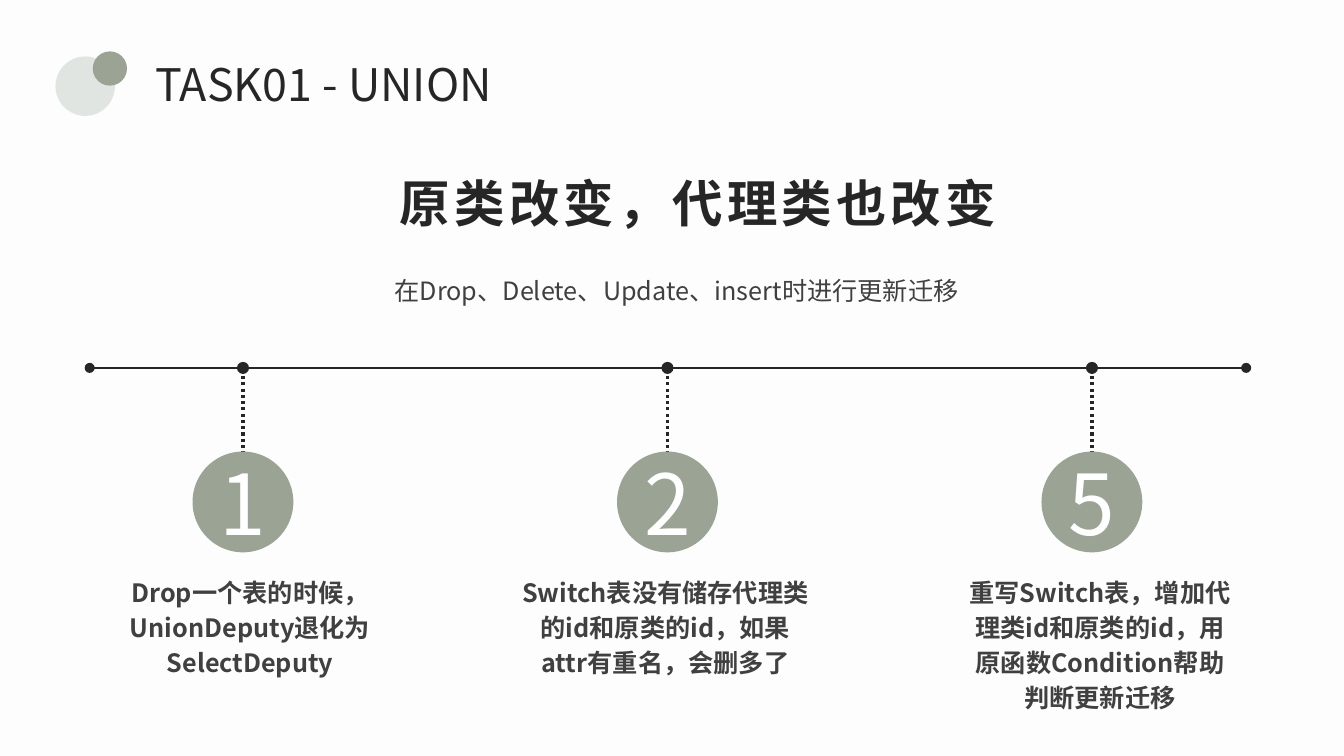
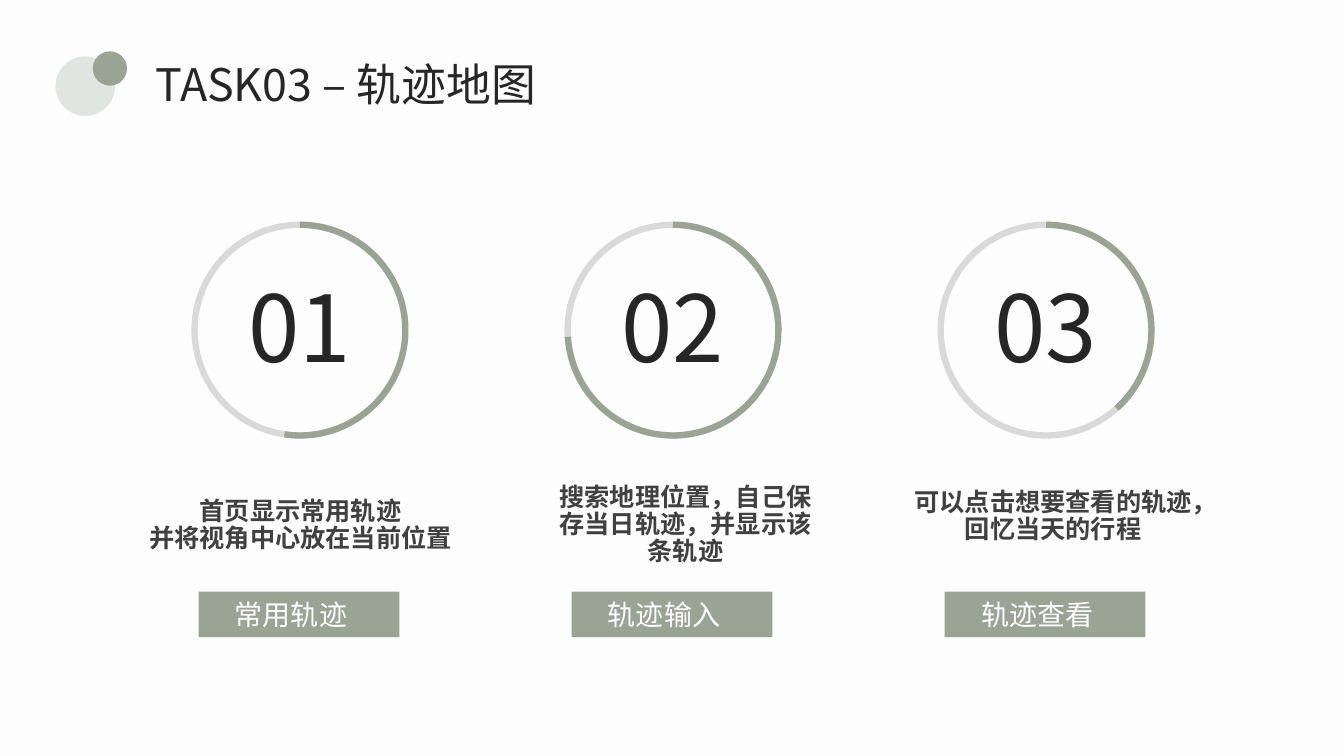
"""Build two slides: a union task timeline and a track map overview."""
from typing import NamedTuple

from lxml import etree
from pptx import Presentation
from pptx.dml.color import RGBColor
from pptx.enum.dml import MSO_LINE
from pptx.enum.shapes import MSO_CONNECTOR, MSO_SHAPE
from pptx.enum.text import MSO_ANCHOR, MSO_AUTO_SIZE, PP_ALIGN
from pptx.oxml.ns import qn
from pptx.shapes.autoshape import Shape
from pptx.slide import Slide
from pptx.util import Emu, Pt

STRAIGHT = MSO_CONNECTOR.STRAIGHT
OVAL, RECT, ARC = MSO_SHAPE.OVAL, MSO_SHAPE.RECTANGLE, MSO_SHAPE.ARC
TOP, MIDDLE = MSO_ANCHOR.TOP, MSO_ANCHOR.MIDDLE
LEFT, CENTER = PP_ALIGN.LEFT, PP_ALIGN.CENTER
GROW = MSO_AUTO_SIZE.SHAPE_TO_FIT_TEXT
DOTTED = MSO_LINE.ROUND_DOT

INK = RGBColor(0x26, 0x26, 0x26)
BODY = RGBColor(0x40, 0x40, 0x40)
SAGE = RGBColor(0x9A, 0xA3, 0x94)
MIST = RGBColor(0xE1, 0xE5, 0xE2)
GREY = RGBColor(0xD9, 0xD9, 0xD9)
WHITE = RGBColor(0xFF, 0xFF, 0xFF)
PAPER = RGBColor(0xFD, 0xFD, 0xFD)

FONT = "Noto Sans CJK SC"
PX_PER_INCH = 100
EMU_PER_PX = 914400 // PX_PER_INCH
AXIS_Y = 365
RING_TOP, RING_SIZE = 223, 209
TRACK_LEFT, TRACK_PITCH = 297, 370


class Box(NamedTuple):
    x: int
    y: int
    w: int
    h: int


class Style(NamedTuple):
    size: int
    color: RGBColor
    bold: bool = False
    align: PP_ALIGN = CENTER
    leading: float | Pt | None = None
    spacing: int = 0


class Step(NamedTuple):
    cx: int
    number: str
    text: str
    box: Box


class Track(NamedTuple):
    number: str
    sweep: float
    label: str
    text: str
    box: Box


TITLE = Style(32, INK, align=LEFT)
HEADLINE = Style(36, INK, bold=True, leading=0.9, spacing=300)
SUBTITLE = Style(18, BODY, leading=Pt(25))
STEP_TEXT = Style(18, BODY, bold=True, leading=Pt(25))
STEP_NUMBER = Style(60, WHITE)
TRACK_TEXT = Style(18, BODY, bold=True, leading=0.9)
TRACK_NUMBER = Style(66, INK)
TRACK_LABEL = Style(20, WHITE, align=LEFT)

STEPS = [
    Step(241, "1", "Drop一个表的时候，UnionDeputy退化为SelectDeputy",
         Box(114, 606, 268, 29)),
    Step(662, "2", "Switch表没有储存代理类的id和原类的id，如果attr有重名，会删多了",
         Box(507, 580, 306, 80)),
    Step(1083, "5", "重写Switch表，增加代理类id和原类的id，用原函数Condition帮助判断更新迁移",
         Box(946, 620, 290, 34)),
]
TRACKS = [
    Track("01", 59.04, "常用轨迹", "首页显示常用轨迹\n并将视角中心放在当前位置",
          Box(134, 490, 328, 65)),
    Track("02", 105.82, "轨迹输入", "搜索地理位置，自己保存当日轨迹，并显示该条轨迹",
          Box(533, 476, 294, 92)),
    Track("03", 28.78, "轨迹查看", "可以点击想要查看的轨迹，回忆当天的行程",
          Box(888, 481, 313, 65)),
]


def px(n: int) -> Emu:
    return Emu(n * EMU_PER_PX)


def write(sp: Shape, text: str, style: Style) -> None:
    tf = sp.text_frame
    tf.text = text
    for p in tf.paragraphs:
        p.alignment = style.align
        if style.leading is not None:
            p.line_spacing = style.leading
        for r in p.runs:
            r.font.name = FONT
            r.font.size = Pt(style.size)
            r.font.bold = style.bold
            r.font.color.rgb = style.color
            rPr = r.font._element
            etree.SubElement(rPr, qn("a:ea")).set("typeface", FONT)
            if style.spacing:
                rPr.set("spc", str(style.spacing))


def add_text(s: Slide, box: Box, text: str, style: Style,
             anchor: MSO_ANCHOR = TOP, wrap: bool = True) -> None:
    sp = s.shapes.add_textbox(*map(px, box))
    write(sp, text, style)
    tf = sp.text_frame
    tf.word_wrap = wrap
    tf.vertical_anchor = anchor
    if anchor == TOP:
        tf.auto_size = GROW


def add_solid(s: Slide, kind: MSO_SHAPE, box: Box, color: RGBColor) -> Shape:
    sp = s.shapes.add_shape(kind, *map(px, box))
    sp.shadow.inherit = False
    sp.fill.solid()
    sp.fill.fore_color.rgb = color
    sp.line.fill.background()
    return sp


def add_dot(s: Slide, cx: int, cy: int, size: int, color: RGBColor) -> Shape:
    box = Box(cx - size // 2, cy - size // 2, size, size)
    return add_solid(s, OVAL, box, color)


def add_line(s: Slide, x1: int, y1: int, x2: int, y2: int,
             width: float, dash: MSO_LINE | None = None) -> None:
    line = s.shapes.add_connector(STRAIGHT, px(x1), px(y1), px(x2), px(y2))
    line.line.color.rgb = INK
    line.line.width = Pt(width)
    if dash is not None:
        line.line.dash_style = dash
    etree.SubElement(line._element.spPr, qn("a:effectLst"))


def add_arc(s: Slide, box: Box, start: float, end: float, color: RGBColor) -> None:
    sp = s.shapes.add_shape(ARC, *map(px, box))
    sp.shadow.inherit = False
    sp.adjustments[0] = start
    sp.adjustments[1] = end
    sp.fill.background()
    sp.line.color.rgb = color
    sp.line.width = Pt(4.5)


def add_titled_slide(prs: Presentation, title: str, width: int) -> Slide:
    s = prs.slides.add_slide(prs.slide_layouts[6])
    add_text(s, Box(144, 51, width, 64), title, TITLE, wrap=False)
    add_solid(s, OVAL, Box(55, 56, 59, 59), MIST)
    add_solid(s, OVAL, Box(92, 51, 34, 34), SAGE)
    return s


def add_step(s: Slide, step: Step) -> None:
    add_dot(s, step.cx, AXIS_Y, 12, INK)
    add_line(s, step.cx, 373, step.cx, 448, 2.25, DOTTED)
    write(add_dot(s, step.cx, 498, 100, SAGE), step.number, STEP_NUMBER)
    add_text(s, step.box, step.text, STEP_TEXT, MIDDLE)


def add_track(s: Slide, cx: int, track: Track) -> None:
    ring = Box(cx - RING_SIZE // 2, RING_TOP, RING_SIZE, RING_SIZE)
    add_arc(s, ring, 6.75, 0, GREY)
    add_arc(s, ring, 162, track.sweep, SAGE)
    add_text(s, Box(cx - 103, 263, 206, 121), track.number, TRACK_NUMBER)
    add_text(s, track.box, track.text, TRACK_TEXT)
    bar = add_solid(s, RECT, Box(cx - 100, 587, 199, 45), SAGE)
    bar.text_frame.margin_left = px(36)
    write(bar, track.label, TRACK_LABEL)


def add_union_slide(prs: Presentation) -> None:
    s = add_titled_slide(prs, "TASK01 - UNION", 383)
    add_text(s, Box(378, 175, 629, 59), "原类改变，代理类也改变", HEADLINE, MIDDLE)
    add_text(s, Box(176, 240, 990, 92),
             "在Drop、Delete、Update、insert时进行更新迁移", SUBTITLE, MIDDLE)
    add_line(s, 88, AXIS_Y, 1236, AXIS_Y, 1)
    for cx in (89, 1236):
        add_dot(s, cx, AXIS_Y, 10, INK)
    for step in STEPS:
        add_step(s, step)


def add_map_slide(prs: Presentation) -> None:
    s = add_titled_slide(prs, "TASK03 – 轨迹地图", 411)
    for i, track in enumerate(TRACKS):
        add_track(s, TRACK_LEFT + i * TRACK_PITCH, track)


def main() -> None:
    prs = Presentation()
    prs.slide_width, prs.slide_height = px(1333), px(750)
    fill = prs.slide_master.background.fill
    fill.solid()
    fill.fore_color.rgb = PAPER
    add_union_slide(prs)
    add_map_slide(prs)
    prs.save("out.pptx")


if __name__ == "__main__":
    main()
